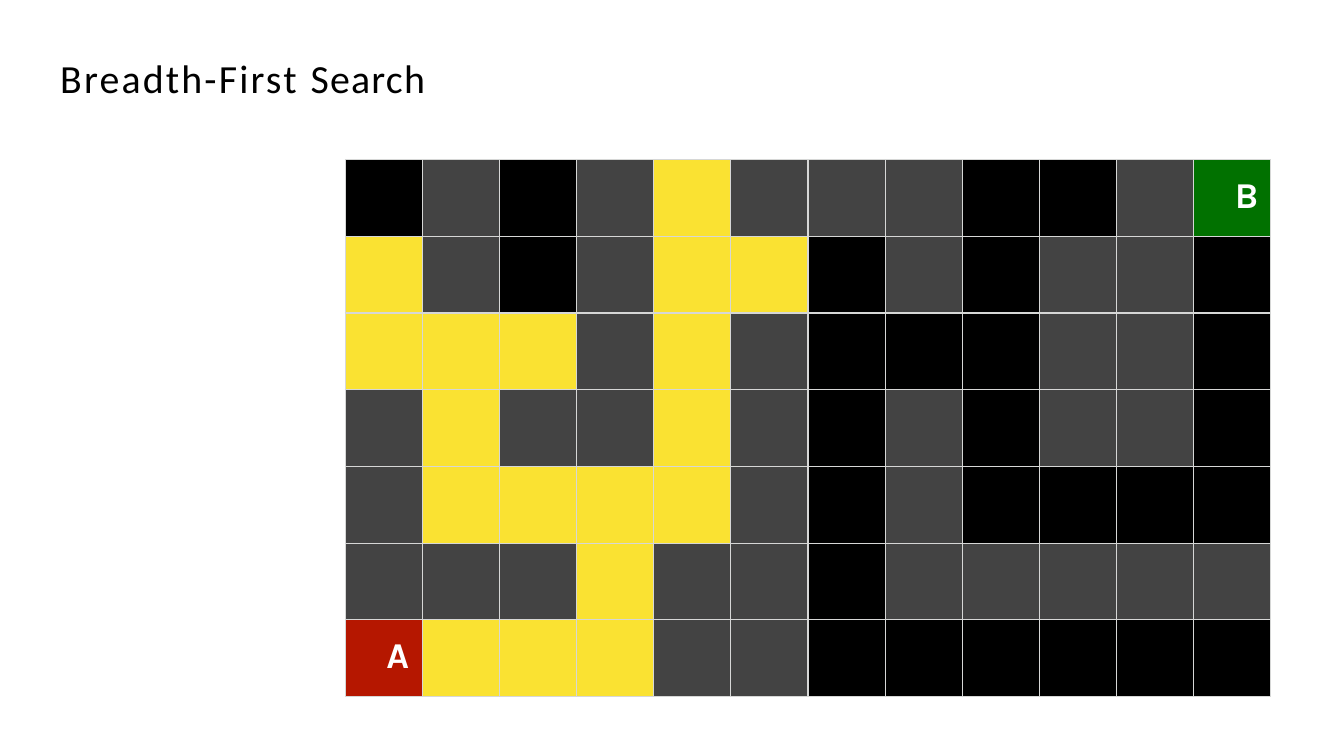
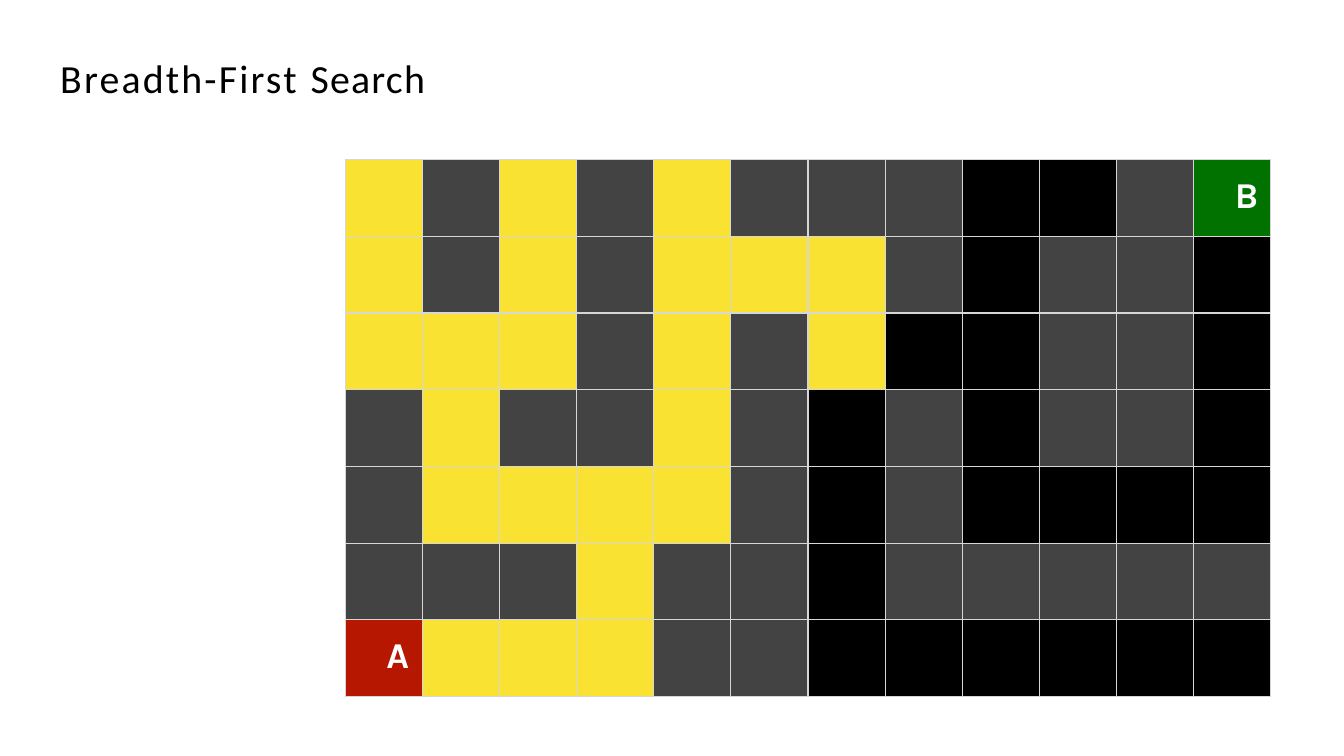
from dataclasses import dataclass

from lxml.etree import SubElement
from pptx import Presentation
from pptx.dml.color import RGBColor as RGB
from pptx.enum.text import MSO_ANCHOR as ANCHOR, MSO_AUTO_SIZE as AUTO_SIZE, PP_ALIGN as ALIGN
from pptx.oxml.ns import qn
from pptx.util import Pt


@dataclass(frozen=True)
class Theme:
    wall: str = "434343"
    unexplored: str = "000000"
    explored: str = "FAE232"
    start: str = "B51700"
    goal: str = "017100"
    border: str = "D6D7D6"
    title_color: str = "000000"
    label_color: str = "FFFFFF"
    title_font: str = "Calibri"
    label_font: str = "Karla"
    title_size: float = 28.5
    label_size: float = 26


theme = Theme()

# Maze: "#" wall, "." open, A start, B goal; a digit is the slide that first explores the square
MAZE = [
    "2#2#1###..#B",
    "1#2#112#.##.",
    "111#1#2..##.",
    "#1##1#.#.##.",
    "#1111#.#....",
    "###1##.#####",
    "A111##......",
]
SQUARE_FILL = {"#": theme.wall, ".": theme.unexplored, "A": theme.start, "B": theme.goal}
COLUMN_WIDTH, ROW_HEIGHT = 55.12, 54.8
TITLE_PARTS = [("Breadth-First ", 160), ("Search", 90)]  # text, letter spacing in 1/100 pt


def outline(square):
    """Give a maze square a thin border on all four sides."""
    properties = square._tc.get_or_add_tcPr()
    for side in ("a:lnL", "a:lnR", "a:lnT", "a:lnB"):
        line = SubElement(properties, qn(side), w=str(Pt(1)))
        SubElement(SubElement(line, qn("a:solidFill")), qn("a:srgbClr"), val=theme.border)


def style(run, font_name, size, color, bold):
    font = run.font
    font.name, font.size, font.bold = font_name, Pt(size), bold
    font.color.rgb = RGB.from_string(color)


prs = Presentation()
prs.slide_width, prs.slide_height = Pt(960), Pt(540)
title_only = prs.slide_layouts[5]

for step in (1, 2):
    slide = prs.slides.add_slide(title_only)

    # Title
    title = slide.shapes.title
    title.left, title.top, title.width, title.height = Pt(42), Pt(37.5), Pt(292), Pt(35)
    heading = title.text_frame
    heading.auto_size = AUTO_SIZE.NONE
    heading.vertical_anchor = ANCHOR.MIDDLE
    heading.margin_left = heading.margin_top = Pt(1)
    heading.margin_right = heading.margin_bottom = 0
    heading.paragraphs[0].alignment = ALIGN.LEFT
    for words, spacing in TITLE_PARTS:
        run = heading.paragraphs[0].add_run()
        run.text = words
        style(run, theme.title_font, theme.title_size, theme.title_color, False)
        run._r.get_or_add_rPr().set("spc", str(spacing))

    # Maze grid
    rows, columns = len(MAZE), len(MAZE[0])
    maze = slide.shapes.add_table(rows, columns, Pt(246.5), Pt(114),
                                  Pt(columns * COLUMN_WIDTH), Pt(rows * ROW_HEIGHT)).table
    maze.first_row = maze.horz_banding = False
    for column in maze.columns:
        column.width = Pt(COLUMN_WIDTH)
    for row in maze.rows:
        row.height = Pt(ROW_HEIGHT)

    # Squares: borders, fills and the start and goal letters
    for r, marks in enumerate(MAZE):
        for c, mark in enumerate(marks):
            square = maze.cell(r, c)
            outline(square)
            if mark.isdigit():
                color = theme.explored if int(mark) <= step else theme.unexplored
            else:
                color = SQUARE_FILL[mark]
            square.fill.solid()
            square.fill.fore_color.rgb = RGB.from_string(color)
            if mark in "AB":
                square.margin_left, square.margin_top = Pt(29.5), Pt(11.2)
                square.margin_right = square.margin_bottom = 0
                label = square.text_frame.paragraphs[0]
                label.text = mark
                style(label.runs[0], theme.label_font, theme.label_size, theme.label_color, True)

prs.save("out.pptx")
